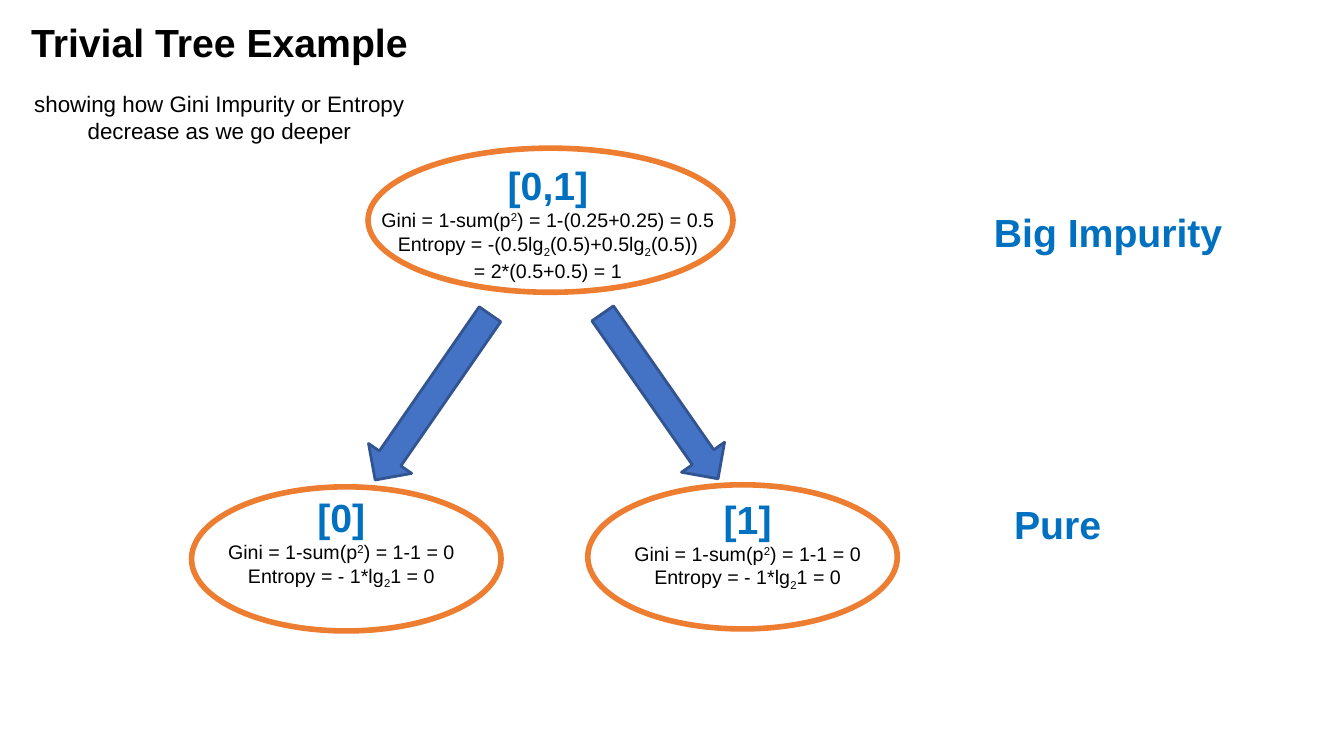
from pptx import Presentation
from pptx.dml.color import RGBColor
from pptx.enum.shapes import MSO_SHAPE
from pptx.enum.text import MSO_ANCHOR, PP_ALIGN
from pptx.util import Emu, Pt

EMU_PER_PX = 9144  # 100 px to the inch
BLACK, WHITE, BLUE = "000000", "FFFFFF", "0070C0"
ORANGE, ARROW_FILL, ARROW_EDGE = "ED7D31", "4472C4", "325491"
BASELINES = {"^": "30000", "_": "-25000"}

ROOT_LINES = [
    ["Gini = 1-sum(p", "^2", ") = 1-(0.25+0.25) = 0.5"],
    ["Entropy = -(0.5lg", "_2", "(0.5)+0.5lg", "_2", "(0.5))"],
    ["= 2*(0.5+0.5) = 1"],
]
LEAF_LINES = [
    ["Gini = 1-sum(p", "^2", ") = 1-1 = 0"],
    ["Entropy = - 1*lg", "_2", "1 = 0"],
]


def px(*lengths):
    return [Emu(length * EMU_PER_PX) for length in lengths]


def color(value):
    return RGBColor.from_string(value)


def add_box(page, at, fill=None):
    box = page.shapes.add_textbox(*px(*at))
    if fill:
        box.fill.solid()
        box.fill.fore_color.rgb = color(fill)
    box.text_frame.word_wrap = True
    box.text_frame.vertical_anchor = MSO_ANCHOR.TOP
    return box.text_frame


def write(frame, spans, size=28, bold=False, ink=BLACK, align=PP_ALIGN.CENTER, before=0):
    """Add a paragraph; a span starting with ^ is raised and with _ is lowered."""
    para = frame.paragraphs[0]
    if para.runs:
        para = frame.add_paragraph()
    para.alignment = align
    para.space_before = Pt(before)
    for text in spans:
        span = para.add_run()
        span.text = text.lstrip("^_")
        span.font.name = "Arial"
        span.font.size = Pt(size)
        span.font.bold = bold
        span.font.color.rgb = color(ink)
        if text[0] in BASELINES:
            span.font._element.set("baseline", BASELINES[text[0]])


def add_node_text(page, at, values, lines):
    frame = add_box(page, at, fill=WHITE)
    write(frame, [values], bold=True, ink=BLUE)
    for spans in lines:
        write(frame, spans, size=14)


def add_label(page, at, text):
    write(add_box(page, at), [text], bold=True, ink=BLUE, align=PP_ALIGN.LEFT)


def add_outlined(page, kind, at, edge, width, fill=None, rotation=0):
    shape = page.shapes.add_shape(kind, *px(*at))
    shape.shadow.inherit = False
    shape.rotation = rotation
    shape.line.color.rgb = color(edge)
    shape.line.width = Pt(width)
    if fill:
        shape.fill.solid()
        shape.fill.fore_color.rgb = color(fill)
    else:
        shape.fill.background()


def main():
    deck = Presentation()
    deck.slide_width, deck.slide_height = px(1333, 750)
    page = deck.slides.add_slide(deck.slide_layouts[6])

    heading = add_box(page, (12, 13, 411, 138))
    write(heading, ["Trivial Tree Example"], bold=True)
    write(heading, ["showing how Gini Impurity or Entropy decrease as we go deeper"],
          size=16, before=18)

    add_node_text(page, (360, 155, 367, 128), "[0,1]", ROOT_LINES)
    add_node_text(page, (203, 484, 271, 104), "[0]", LEAF_LINES)
    add_node_text(page, (606, 486, 271, 104), "[1]", LEAF_LINES)

    add_label(page, (976, 202, 276, 57), "Big Impurity")
    add_label(page, (996, 491, 165, 57), "Pure")

    for left, top, rotation in [(329, 368, 124.7), (555, 367, 55.1)]:
        add_outlined(page, MSO_SHAPE.RIGHT_ARROW, (left, top, 200, 52),
                     ARROW_EDGE, 2, fill=ARROW_FILL, rotation=rotation)
    for left, top, width in [(190, 483, 307), (583, 481, 307), (365, 147, 362)]:
        add_outlined(page, MSO_SHAPE.OVAL, (left, top, width, 143), ORANGE, 4)

    deck.save("out.pptx")


if __name__ == "__main__":
    main()
